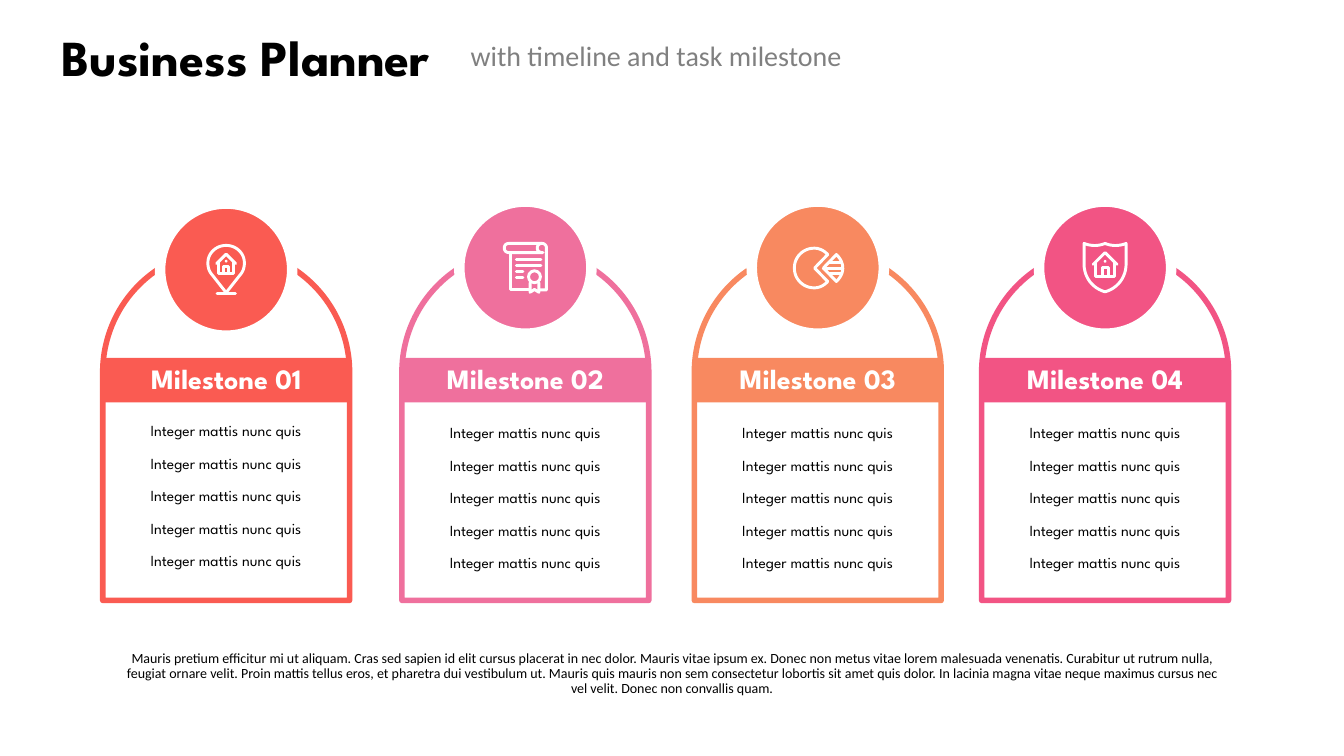
from dataclasses import dataclass
from typing import Callable

import pptx
import pptx.dml.color
import pptx.enum.shapes
import pptx.enum.text
import pptx.oxml.ns
import pptx.util
from lxml import etree

Cm, Pt = pptx.util.Cm, pptx.util.Pt
RGBColor = pptx.dml.color.RGBColor
SHAPE = pptx.enum.shapes.MSO_SHAPE
ALIGN = pptx.enum.text.PP_ALIGN
ANCHOR = pptx.enum.text.MSO_ANCHOR
qn = pptx.oxml.ns.qn

BLACK = RGBColor(0x00, 0x00, 0x00)
WHITE = RGBColor(0xFF, 0xFF, 0xFF)
GRAY = RGBColor(0x80, 0x80, 0x80)
RED = RGBColor(0xFA, 0x5B, 0x52)
PINK = RGBColor(0xEF, 0x70, 0x9D)
ORANGE = RGBColor(0xF8, 0x89, 0x60)
ROSE = RGBColor(0xF2, 0x54, 0x84)

HEADING_FONT, BODY_FONT = "League Spartan", "Calibri"
CARD_WIDTH, BADGE_SIZE, LIST_WIDTH = 6.22, 3.33, 5.31
TASKS = ["Integer mattis nunc quis"] * 5
SUMMARY = (
    "Mauris pretium efficitur mi ut aliquam. Cras sed sapien id elit cursus placerat in nec dolor. "
    "Mauris vitae ipsum ex. Donec non metus vitae lorem malesuada venenatis. Curabitur ut rutrum "
    "nulla, feugiat ornare velit. Proin mattis tellus eros, et pharetra dui vestibulum ut. Mauris "
    "quis mauris non sem consectetur lobortis sit amet quis dolor. In lacinia magna vitae neque "
    "maximus cursus nec vel velit. Donec non convallis quam."
)


def write(shape, lines, font, size, color, bold=False, align=ALIGN.CENTER,
          anchor=ANCHOR.MIDDLE, line_spacing=1.0, gap=0):
    frame = shape.text_frame
    frame.word_wrap = True
    frame.auto_size = pptx.enum.text.MSO_AUTO_SIZE.NONE
    frame.vertical_anchor = anchor
    for index, line in enumerate(lines):
        paragraph = frame.add_paragraph() if index else frame.paragraphs[0]
        paragraph.alignment = align
        paragraph.line_spacing = line_spacing
        paragraph.space_before = Pt(gap if index else 0)
        run = paragraph.add_run()
        run.text = line
        run.font.name, run.font.size, run.font.bold = font, Pt(size), bold
        run.font.color.rgb = color


def place(shape, left, top, width, height):
    shape.left, shape.top, shape.width, shape.height = map(Cm, (left, top, width, height))


def add_block(slide, kind, box, fill, outline=None, weight=0):
    block = slide.shapes.add_shape(kind, *map(Cm, box))
    block.shadow.inherit = False
    block.fill.solid()
    block.fill.fore_color.rgb = fill
    if outline is None:
        block.line.fill.background()
    else:
        block.line.color.rgb = outline
        block.line.width = Pt(weight)
    return block


def add_text(slide, box, text, *style, **options):
    write(slide.shapes.add_textbox(*map(Cm, box)), [text], *style, **options)


def bezier(start, first, second, end, steps=12):
    for step in range(1, steps + 1):
        t = step / steps
        weights = ((1 - t) ** 3, 3 * t * (1 - t) ** 2, 3 * t * t * (1 - t), t ** 3)
        yield tuple(sum(w * p[axis] for w, p in zip(weights, (start, first, second, end)))
                    for axis in (0, 1))


class IconPen:
    """Draws white strokes in millimetres from the centre of a badge."""

    def __init__(self, slide, center_x, center_y):
        self.shapes = slide.shapes
        self.center = center_x, center_y

    def at(self, point):
        return [Cm(c + offset / 10) for c, offset in zip(self.center, point)]

    def finish(self, mark):
        mark.line.color.rgb = WHITE
        mark.line.width = Pt(2.1)
        properties = mark.element.spPr
        properties.find(qn("a:ln")).set("cap", "rnd")
        etree.SubElement(properties, qn("a:effectLst"))

    def line(self, start, end):
        self.finish(self.shapes.add_connector(
            pptx.enum.shapes.MSO_CONNECTOR.STRAIGHT, *self.at(start), *self.at(end)))

    def trace(self, start, *segments, close=False):
        """Each segment is a point (x, y) or a curve of two controls and an end."""
        points = [start]
        for segment in segments:
            points.extend(bezier(points[-1], *segment) if len(segment) == 3 else [segment])
        builder = self.shapes.build_freeform(*self.at(points[0]))
        builder.add_line_segments([self.at(point) for point in points[1:]], close=close)
        outline = builder.convert_to_shape()
        outline.fill.background()
        self.finish(outline)

    def circle(self, x, y, radius, solid=False):
        size = Cm(radius / 5)
        ring = self.shapes.add_shape(SHAPE.OVAL, *self.at((x - radius, y - radius)), size, size)
        if solid:
            ring.shadow.inherit = False
            ring.fill.solid()
            ring.fill.fore_color.rgb = WHITE
            ring.line.fill.background()
        else:
            ring.fill.background()
            self.finish(ring)


def draw_house(pen, top, scale):
    def spot(x, y):
        return x * scale, top + y * scale

    pen.trace(spot(-3, 3), spot(0, 0), spot(3, 3))
    pen.trace(spot(-2.3, 2.6), spot(-2.3, 6.1), spot(2.3, 6.1), spot(2.3, 2.6))
    pen.trace(spot(-0.75, 6.1), spot(-0.75, 3.8), spot(0.75, 3.8), spot(0.75, 6.1))
    pen.circle(*spot(0, 2.2), 0.35, solid=True)


def draw_pin(pen):
    pen.trace((0, 5.8), (3.7, 1.1),
              ((4.3, 0.4), (4.6, -0.6), (4.6, -1.7)), ((4.6, -4.2), (2.5, -6.1), (0, -6.1)),
              ((-2.5, -6.1), (-4.6, -4.2), (-4.6, -1.7)),
              ((-4.6, -0.6), (-4.3, 0.4), (-3.7, 1.1)), close=True)
    pen.line((-2.3, 6.1), (2.3, 6.1))
    draw_house(pen, -3.9, 0.8)


def draw_certificate(pen):
    pen.trace((4.4, -3.8), (-4.2, -3.8), ((-5.7, -3.8), (-5.7, -6.1), (-4.2, -6.1)),
              (4.2, -6.1), ((4.8, -6.1), (5.3, -5.6), (5.3, -5)), (5.3, 5.6), (3.7, 5.6))
    pen.trace((4.2, -6.1), ((2.6, -6.1), (2.6, -3.8), (4.2, -3.8)))
    pen.trace((-3.8, -3.8), (-3.8, 5.6), (1.1, 5.6))
    for y, right in ((-2, 3.9), (-0.5, 3.9), (1, -0.6), (2.5, -0.6)):
        pen.line((-2.3, y), (right, y))
    pen.circle(2.3, 2.3, 1.5)
    pen.trace((1.2, 3.8), (1.2, 6.2), (2.3, 5.5), (3.4, 6.2), (3.4, 3.8))


def draw_pie(pen):
    pen.trace((-0.8, 0.1), (2.5, -3.3), ((1.6, -4.3), (0.4, -4.9), (-0.9, -4.9)),
              ((-3.7, -4.9), (-5.9, -2.7), (-5.9, 0.1)), ((-5.9, 2.9), (-3.7, 5.1), (-0.9, 5.1)),
              ((0.4, 5.1), (1.6, 4.5), (2.5, 3.5)), close=True)
    pen.trace((1.4, 0.1), (4.7, -3.3), ((5.7, -2.3), (6.3, -1.2), (6.3, 0.1)),
              ((6.3, 1.4), (5.7, 2.5), (4.7, 3.5)), close=True)
    for y, left, right in ((-1.3, 2.8, 5.9), (0.1, 1.4, 6.3), (1.5, 2.8, 5.9)):
        pen.line((left, y), (right, y))


def draw_shield(pen):
    pen.trace((0, -6.1), ((1.7, -5.4), (3.5, -5.4), (5.3, -6.1)), (5.3, -0.9),
              ((5.3, 2.4), (3.2, 5.2), (0, 6.1)), ((-3.2, 5.2), (-5.3, 2.4), (-5.3, -0.9)),
              (-5.3, -6.1), ((-3.5, -5.4), (-1.7, -5.4), (0, -6.1)), close=True)
    draw_house(pen, -3.8, 1)


@dataclass
class Milestone:
    label: str
    color: RGBColor
    left: float
    draw_icon: Callable
    badge_top: float = 5.08
    list_top: float = 10.72


MILESTONES = [
    Milestone("Milestone 01", RED, 2.59, draw_pin, 5.13, 10.67),
    Milestone("Milestone 02", PINK, 10.13, draw_certificate),
    Milestone("Milestone 03", ORANGE, 17.5, draw_pie),
    Milestone("Milestone 04", ROSE, 24.74, draw_shield),
]


def add_milestone(slide, milestone, tasks):
    left, color = milestone.left, milestone.color
    card = add_block(slide, SHAPE.ROUND_2_SAME_RECTANGLE, (left, 6.27, CARD_WIDTH, 8.86),
                     WHITE, color, 4)
    card.adjustments[0], card.adjustments[1] = 0.5, 0
    badge_left = left + (CARD_WIDTH - BADGE_SIZE) / 2
    add_block(slide, SHAPE.OVAL, (badge_left, milestone.badge_top, BADGE_SIZE, BADGE_SIZE),
              color, WHITE, 7.5)
    milestone.draw_icon(IconPen(slide, left + CARD_WIDTH / 2,
                                milestone.badge_top + BADGE_SIZE / 2))
    header = add_block(slide, SHAPE.RECTANGLE, (left, 9.02, CARD_WIDTH, 1.12), color)
    write(header, [milestone.label], HEADING_FONT, 20, WHITE, bold=True, line_spacing=0.9)

    tasks.element.getparent().append(tasks.element)  # lists sit in front of their card
    place(tasks, left + (CARD_WIDTH - LIST_WIDTH) / 2, milestone.list_top, LIST_WIDTH, 3.63)
    write(tasks, TASKS, HEADING_FONT, 11, BLACK, gap=10)
    for paragraph in tasks.text_frame.paragraphs:
        properties = paragraph.runs[0].font and paragraph.element.get_or_add_pPr() \
            if hasattr(paragraph, "element") else paragraph._p.get_or_add_pPr()
        properties.set("marL", "0")
        properties.set("indent", "0")
        etree.SubElement(properties, qn("a:buNone"))


def main():
    deck = pptx.Presentation()
    deck.slide_width, deck.slide_height = Cm(33.87), Cm(19.05)
    slide = deck.slides.add_slide(deck.slide_layouts.get_by_name("Comparison"))
    title, *task_lists = list(slide.placeholders)
    place(title, 0.81, 0.66, 10.77, 1.52)
    write(title, ["Business Planner"], HEADING_FONT, 36, BLACK, bold=True)
    add_text(slide, (11.61, 0.84, 11.94, 1.12), "with timeline and task milestone",
             BODY_FONT, 20, GRAY, align=ALIGN.LEFT)
    for milestone, tasks in zip(MILESTONES, task_lists):
        add_milestone(slide, milestone, tasks)
    add_text(slide, (2.84, 16.28, 28.19, 1.55), SUMMARY, BODY_FONT, 10, BLACK,
             anchor=ANCHOR.TOP, line_spacing=0.9)
    deck.save("out.pptx")


if __name__ == "__main__":
    main()
